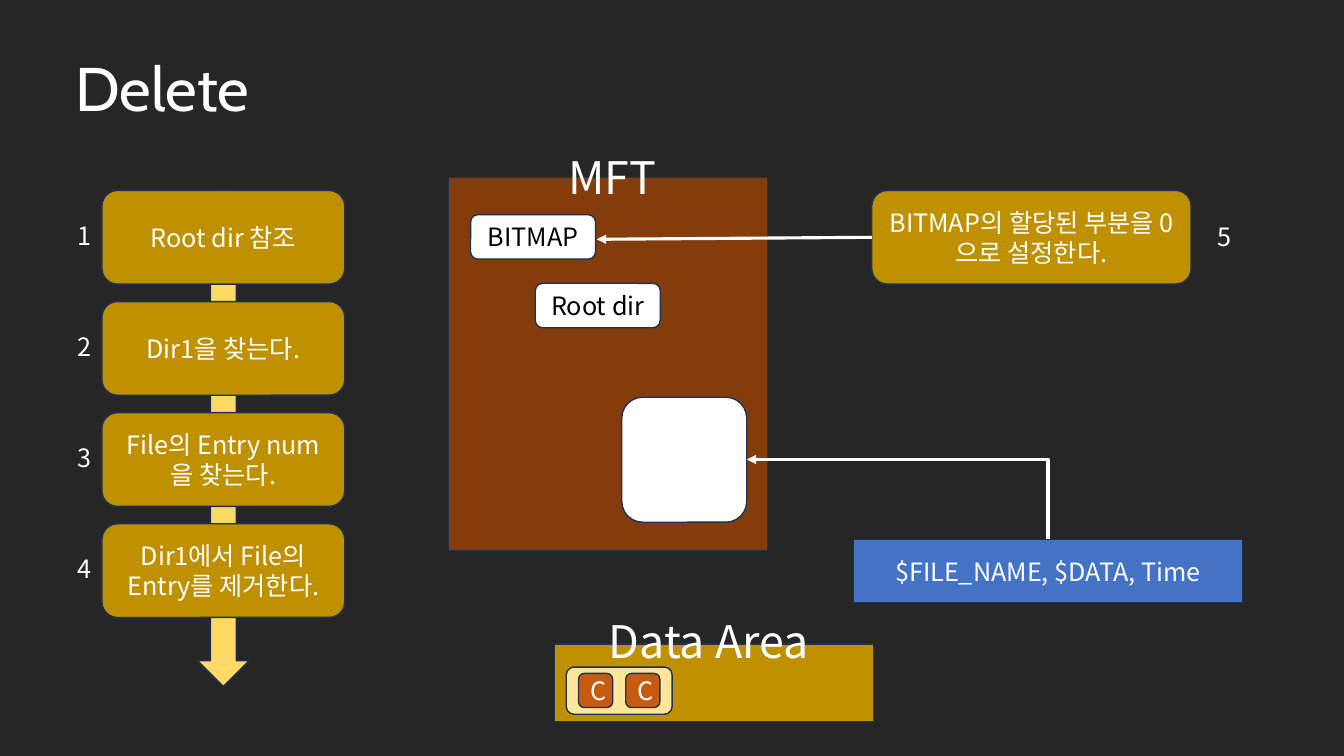
import pptx
import pptx.dml.color
import pptx.enum.shapes
import pptx.enum.text
import pptx.oxml
import pptx.oxml.ns
import pptx.util

Cm = pptx.util.Cm
RGBColor = pptx.dml.color.RGBColor
SHAPE = pptx.enum.shapes.MSO_SHAPE
CONNECTOR = pptx.enum.shapes.MSO_CONNECTOR
ALIGN = pptx.enum.text.PP_ALIGN
ANCHOR = pptx.enum.text.MSO_ANCHOR

BACKGROUND = RGBColor(0x26, 0x26, 0x26)
WHITE = RGBColor(0xFF, 0xFF, 0xFF)
BLACK = RGBColor(0x00, 0x00, 0x00)
OUTLINE = RGBColor(0x1E, 0x32, 0x56)
BROWN = RGBColor(0x84, 0x3C, 0x0B)
GOLD = RGBColor(0xBF, 0x90, 0x00)
YELLOW = RGBColor(0xFF, 0xD9, 0x66)
CREAM = RGBColor(0xFF, 0xE6, 0x99)
ORANGE = RGBColor(0xC5, 0x5A, 0x11)
BLUE = RGBColor(0x44, 0x72, 0xC4)
BODY_FONT = "Noto Sans CJK KR"
TITLE_FONT = "Cabin"
STEPS = [
    "Root dir 참조",
    "Dir1을 찾는다.",
    "File의 Entry num을 찾는다.",
    "Dir1에서 File의 Entry를 제거한다.",
]
STEP_HEIGHT = 2.36


def write(frame, text, size=18, font=BODY_FONT, color=WHITE, align=ALIGN.LEFT, anchor=ANCHOR.TOP):
    """Put formatted text into a text frame."""
    frame.word_wrap = True
    frame.vertical_anchor = anchor
    paragraph = frame.paragraphs[0]
    paragraph.alignment = align
    run = paragraph.add_run()
    run.text = text
    run.font.size = pptx.util.Pt(size)
    run.font.color.rgb = color
    run.font.name = font
    east_asian = pptx.oxml.ns.qn("a:ea")
    run.font._element.append(run.font._element.makeelement(east_asian, {"typeface": font}))


def add_label(slide, box, text, **style):
    """Add a text box that grows with its text."""
    label = slide.shapes.add_textbox(*map(Cm, box))
    write(label.text_frame, text, **style)
    label.text_frame.auto_size = pptx.enum.text.MSO_AUTO_SIZE.SHAPE_TO_FIT_TEXT


def add_block(slide, box, fill, text="", kind=SHAPE.ROUNDED_RECTANGLE, color=WHITE):
    """Add a filled, outlined shape with optional centred text."""
    block = slide.shapes.add_shape(kind, *map(Cm, box))
    block.shadow.inherit = False
    block.fill.solid()
    block.fill.fore_color.rgb = fill
    block.line.color.rgb = OUTLINE
    block.line.width = pptx.util.Pt(1)
    if text:
        write(block.text_frame, text, color=color, align=ALIGN.CENTER, anchor=ANCHOR.MIDDLE)
    return block


def add_arrow(slide, kind, start, end):
    """Add a white connector with a triangle at its end."""
    arrow = slide.shapes.add_connector(kind, *map(Cm, start + end))
    arrow.line.color.rgb = WHITE
    arrow.line.width = pptx.util.Pt(2.25)
    line = arrow.line._get_or_add_ln()
    line.append(line.makeelement(pptx.oxml.ns.qn("a:tailEnd"), {"type": "triangle"}))
    properties = arrow._element.spPr
    properties.append(properties.makeelement(pptx.oxml.ns.qn("a:effectLst"), {}))
    return arrow


def add_corner_arrow(slide, start, end):
    """Add an arrow that rises from start, then turns left to end."""
    (x1, y1), (x2, y2) = start, end
    middle_x, middle_y = (x1 + x2) / 2, (y1 + y2) / 2
    half_rise, half_run = (y1 - y2) / 2, (x1 - x2) / 2
    arrow = add_arrow(
        slide, CONNECTOR.ELBOW,
        (middle_x - half_rise, middle_y + half_run),
        (middle_x + half_rise, middle_y - half_run),
    )
    properties = arrow._element.spPr
    properties.find(pptx.oxml.ns.qn("a:prstGeom")).set("prst", "bentConnector2")
    properties.find(pptx.oxml.ns.qn("a:xfrm")).set("rot", str(270 * 60000))


def add_mft(slide, left, top, width, height):
    """Draw the MFT area with its entries."""
    add_block(slide, (left, top, width, height), BROWN, kind=SHAPE.RECTANGLE)
    add_label(slide, (left + 2.77, top - 0.81, 5, 1.63), "MFT", size=32)
    entries = [("BITMAP", 0.56, 0.94, 1.12), ("", 4.37, 5.54, 3.15), ("Root dir", 2.19, 2.67, 1.12)]
    for name, across, down, entry_height in entries:
        add_block(slide, (left + across, top + down, 3.15, entry_height), WHITE, name, color=BLACK)


def add_steps(slide, left, top, width, height):
    """Draw the numbered steps on top of a long down arrow."""
    add_block(slide, (left + (width - 1.3) / 2, top, 1.3, height), YELLOW, kind=SHAPE.DOWN_ARROW)
    for number, step in enumerate(STEPS, start=1):
        step_top = top + (number - 1) * 2.8
        add_block(slide, (left, step_top, width, STEP_HEIGHT), GOLD, step)
        add_label(slide, (left - 0.87, step_top + 0.63, 1.75, 1.02), str(number))


def add_bitmap_step(slide, left, top, width, height):
    """Draw the fifth step and its arrow to the BITMAP entry."""
    add_block(slide, (left, top, width, height), GOLD, "BITMAP의 할당된 부분을 0으로 설정한다.")
    add_label(slide, (left + width + 0.41, top + 0.64, 1.75, 1.02), "5")
    add_arrow(slide, CONNECTOR.STRAIGHT, (left, top + height / 2), (left - 6.93, top + height / 2 + 0.05))


def add_data_area(slide, left, top, width, height):
    """Draw the data area with its two clusters."""
    add_block(slide, (left, top, width, height), GOLD, kind=SHAPE.RECTANGLE)
    add_block(slide, (left + 0.3, top + 0.58, 2.67, 1.19), CREAM)
    add_label(slide, (left + 1.12, top - 0.89, 7.67, 1.63), "Data Area", size=32)
    for cluster in range(2):
        add_block(slide, (left + 0.61 + cluster * 1.19, top + 0.74, 0.86, 0.86), ORANGE, "C")


def add_attributes(slide, left, top, width, height):
    """Draw the file attributes and their arrow to the file entry."""
    add_block(slide, (left, top, width, height), BLUE, "$FILE_NAME, $DATA, Time", SHAPE.RECTANGLE)
    add_corner_arrow(slide, (left + width / 2, top), (left - 2.69, top - 2.01))


def main():
    """Build and save the slide."""
    deck = pptx.Presentation()
    deck.slide_width, deck.slide_height = Cm(33.87), Cm(19.05)
    slide = deck.slides.add_slide(deck.slide_layouts[6])
    slide.background.fill.solid()
    slide.background.fill.fore_color.rgb = BACKGROUND
    add_label(slide, (1.65, 1.14, 19.56, 2.13), "Delete", size=44, font=TITLE_FONT)
    add_mft(slide, 11.3, 4.47, 8.05, 9.4)
    add_steps(slide, 2.57, 4.8, 6.12, 12.5)
    add_bitmap_step(slide, 21.97, 4.8, 8.05, STEP_HEIGHT)
    add_data_area(slide, 13.97, 16.23, 8.05, 1.96)
    add_attributes(slide, 21.51, 13.59, 9.8, 1.6)
    deck.save("out.pptx")


if __name__ == "__main__":
    main()
